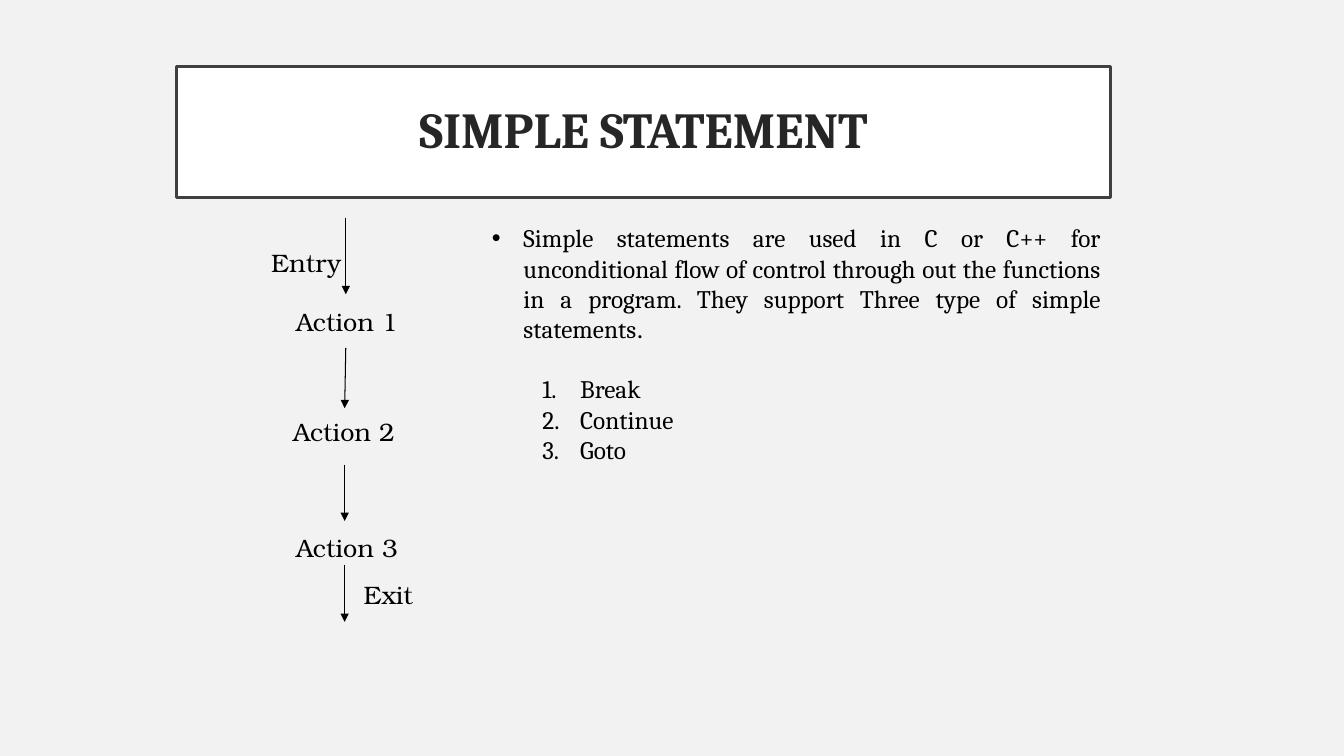
"""Build the slide that explains simple statements."""
from typing import NamedTuple

from lxml.etree import SubElement
from pptx import Presentation
from pptx.dml.color import RGBColor
from pptx.enum.shapes import MSO_CONNECTOR
from pptx.enum.text import MSO_ANCHOR, MSO_AUTO_SIZE, PP_ALIGN
from pptx.oxml.ns import qn
from pptx.util import Pt

SERIF = "Cambria"
LABEL_FONT = "TeX Gyre Bonum"
BLACK = "000000"


class Label(NamedTuple):
    text: str
    left: float
    top: float
    align: PP_ALIGN


class Arrow(NamedTuple):
    start_x: float
    start_y: float
    end_x: float
    end_y: float


LABELS = [
    Label("Entry", 186.5, 172.8, PP_ALIGN.LEFT),
    Label("Action 1", 195.8, 215.3, PP_ALIGN.CENTER),
    Label("Action 2", 193.7, 293.8, PP_ALIGN.CENTER),
    Label("Action 3", 195.8, 376.6, PP_ALIGN.CENTER),
    Label("Exit", 252.7, 410.4, PP_ALIGN.LEFT),
]
ARROWS = [
    Arrow(247, 155.5, 247, 210.2),
    Arrow(247, 248.4, 246.2, 291.6),
    Arrow(246.2, 331.9, 246.2, 372.2),
    Arrow(246.2, 403.9, 246.2, 444.2),
]
DEFINITION = (
    "Simple statements are used in C or C++ for unconditional flow of control "
    "through out the functions in a program. They support Three type of simple statements"
)
KEYWORDS = ["Break", "Continue", "Goto"]


def color(value: str) -> RGBColor:
    return RGBColor.from_string(value)


def place(box, left: float, top: float, width: float, height: float) -> None:
    box.left, box.top = Pt(left), Pt(top)
    box.width, box.height = Pt(width), Pt(height)


def set_frame(frame, anchor: MSO_ANCHOR, side: float, edge: float) -> None:
    frame.word_wrap = True
    frame.auto_size = MSO_AUTO_SIZE.NONE
    frame.vertical_anchor = anchor
    frame.margin_left = frame.margin_right = Pt(side)
    frame.margin_top = frame.margin_bottom = Pt(edge)


def add_span(para, text: str, font: str, size: float = 18,
             ink: str = BLACK, bold: bool = False) -> None:
    span = para.add_run()
    span.text = text
    span.font.name = font
    span.font.size = Pt(size)
    span.font.bold = bold
    span.font.color.rgb = color(ink)


def set_bullet(para, margin: float, hanging: float, tag: str, **attributes: str) -> None:
    properties = para._p.get_or_add_pPr()
    properties.set("marL", str(Pt(margin)))
    properties.set("indent", str(-Pt(hanging)))
    ink = SubElement(properties, qn("a:buClr"))
    SubElement(ink, qn("a:srgbClr"), val=BLACK)
    SubElement(properties, qn("a:buFont"), typeface="Arial")
    SubElement(properties, qn(tag), **attributes)


def fill_title(box) -> None:
    place(box, 126, 47.5, 667.4, 93.6)
    box.fill.solid()
    box.fill.fore_color.rgb = color("FFFFFF")
    box.line.color.rgb = color("404040")
    box.line.width = Pt(2.5)
    set_frame(box.text_frame, MSO_ANCHOR.MIDDLE, 14.4, 14.4)
    para = box.text_frame.paragraphs[0]
    para.alignment = PP_ALIGN.CENTER
    para.line_spacing = 0.9
    add_span(para, "SIMPLE STATEMENT", SERIF, 36, "262626", True)


def fill_body(box) -> None:
    place(box, 344.2, 155.5, 449.3, 203.8)
    frame = box.text_frame
    set_frame(frame, MSO_ANCHOR.TOP, 7.2, 3.6)
    para = frame.paragraphs[0]
    para.alignment = PP_ALIGN.JUSTIFY
    para.space_before = Pt(0)
    set_bullet(para, 22.5, 22.5, "a:buChar", char="•")
    add_span(para, DEFINITION, SERIF)
    add_span(para, ".", LABEL_FONT)
    for index, keyword in enumerate(KEYWORDS):
        para = frame.add_paragraph()
        para.level = 1
        para.alignment = PP_ALIGN.JUSTIFY
        para.space_before = Pt(0 if index else 21.5)
        set_bullet(para, 63, 27, "a:buAutoNum", type="arabicPeriod")
        add_span(para, keyword, SERIF)


def add_label(page, label: Label) -> None:
    box = page.shapes.add_textbox(Pt(label.left), Pt(label.top), Pt(104), Pt(28.8))
    set_frame(box.text_frame, MSO_ANCHOR.TOP, 7.2, 3.6)
    para = box.text_frame.paragraphs[0]
    para.alignment = label.align
    add_span(para, label.text, LABEL_FONT)


def add_arrow(page, arrow: Arrow) -> None:
    line = page.shapes.add_connector(MSO_CONNECTOR.STRAIGHT, *map(Pt, arrow))
    line.line.color.rgb = color(BLACK)
    line.line.width = Pt(0.75)
    SubElement(line.line._get_or_add_ln(), qn("a:tailEnd"), type="triangle")
    SubElement(line._element.spPr, qn("a:effectLst"))


def main() -> None:
    deck = Presentation()
    deck.slide_width, deck.slide_height = Pt(960), Pt(540)
    page = deck.slides.add_slide(deck.slide_layouts[1])
    page.background.fill.solid()
    page.background.fill.fore_color.rgb = color("F2F2F2")
    fill_title(page.shapes.title)
    fill_body(page.placeholders[1])
    for arrow in ARROWS:
        add_arrow(page, arrow)
    for label in LABELS:
        add_label(page, label)
    deck.save("out.pptx")


if __name__ == "__main__":
    main()
